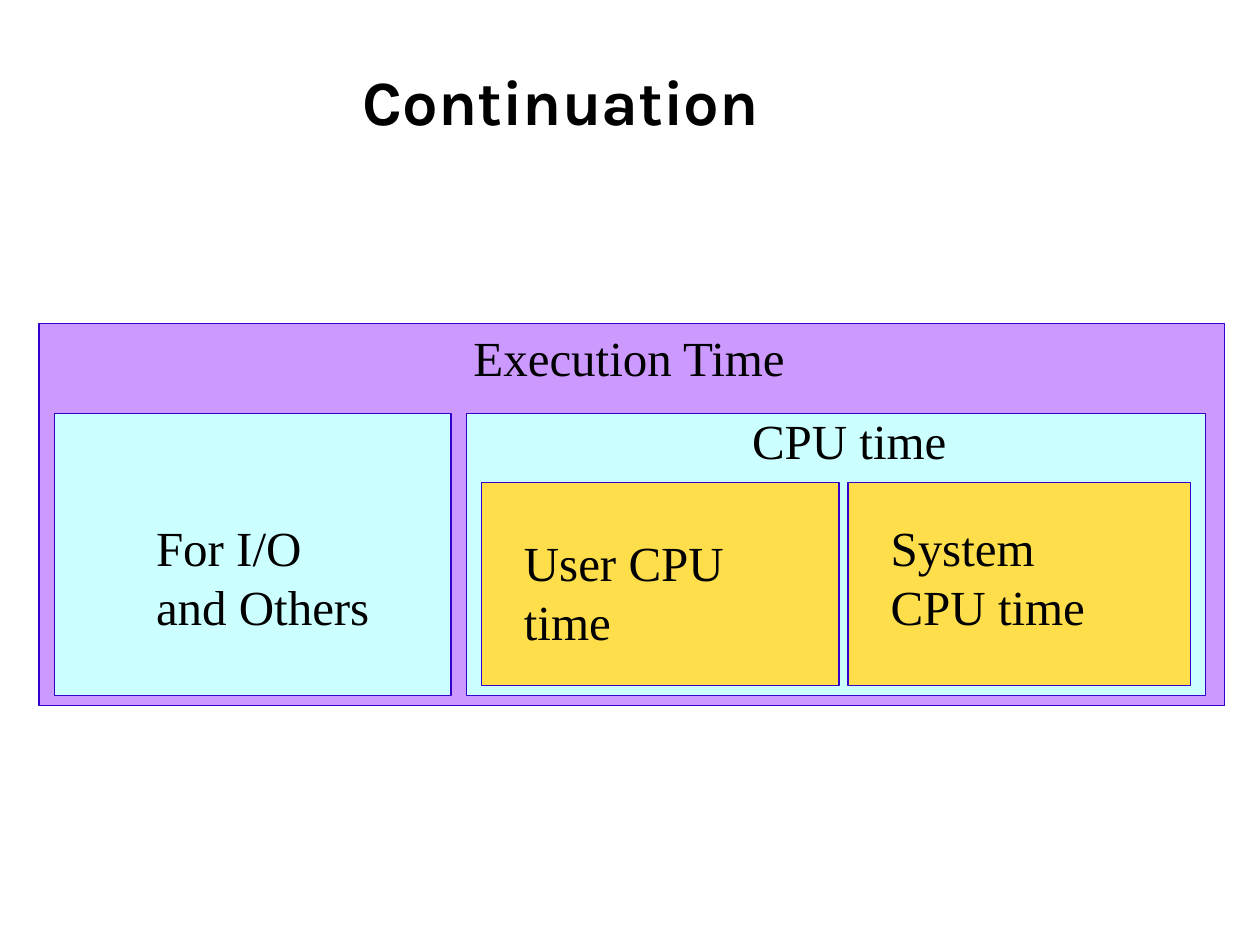
from pptx import Presentation
from pptx import util as u
from pptx.dml import color
from pptx.enum import shapes, text


def paint(value):
    """Turn a hex string into a colour."""
    return color.RGBColor.from_string(value)


def write(box, words, font="Times New Roman", size=28, bold=False,
          align=text.PP_ALIGN.LEFT, anchor=text.MSO_ANCHOR.TOP, left=0.1):
    """Put formatted words into a box."""
    frame = box.text_frame
    frame.word_wrap = True
    frame.auto_size = text.MSO_AUTO_SIZE.NONE
    frame.vertical_anchor = anchor
    frame.margin_left, frame.margin_right = u.Inches(left), u.Inches(0.1)
    frame.margin_top = frame.margin_bottom = u.Inches(0.05)
    para = frame.paragraphs[0]
    para.alignment = align
    span = para.add_run()
    span.text = words
    span.font.name, span.font.size, span.font.bold = font, u.Pt(size), bold
    span.font.color.rgb = paint("000000")


class Diagram:
    """Style and current slide of the nested time diagram."""

    line = "3300CC"

    def __init__(self, page):
        """Keep the slide to draw on."""
        self.page = page

    def title(self, words, *area):
        """Place the title placeholder."""
        box = self.page.shapes.title
        box.left, box.top, box.width, box.height = map(u.Inches, area)
        write(box, words, font="Karla", size=36, bold=True, left=0.41,
              align=text.PP_ALIGN.CENTER, anchor=text.MSO_ANCHOR.MIDDLE)

    def block(self, fill, *area):
        """Draw an outlined rectangle."""
        box = self.page.shapes.add_shape(
            shapes.MSO_SHAPE.RECTANGLE, *map(u.Inches, area))
        box.shadow.inherit = False
        box.fill.solid()
        box.fill.fore_color.rgb = paint(fill)
        box.line.color.rgb = paint(self.line)
        box.line.width = u.Pt(0.74)

    def label(self, words, *area):
        """Add a text label."""
        write(self.page.shapes.add_textbox(*map(u.Inches, area)), words)


deck = Presentation()
deck.slide_width, deck.slide_height = u.Inches(10), u.Inches(7.5)
diagram = Diagram(deck.slides.add_slide(deck.slide_layouts[5]))

diagram.title("Continuation", 0.75, 0.17, 7.09, 1.25)

PURPLE, CYAN, YELLOW = "CC99FF", "CCFFFF", "FFDE4B"
ONE_LINE, TWO_LINES = 0.57, 1.04

diagram.block(PURPLE, 0.31, 2.57, 9.41, 3.03)
for left, width in ((0.43, 3.15), (3.7, 5.87)):
    diagram.block(CYAN, left, 3.28, width, 2.24)
for left, width in ((3.82, 2.84), (6.73, 2.72)):
    diagram.block(YELLOW, left, 3.83, width, 1.61)

for words, left, top, width, height in (
    ("Execution Time", 3.66, 2.55, 2.76, ONE_LINE),
    ("CPU time", 5.87, 3.21, 2.05, ONE_LINE),
    ("For I/O and Others", 1.14, 4.06, 1.93, TWO_LINES),
    ("User CPU time", 4.06, 4.18, 2.17, TWO_LINES),
    ("System CPU time", 6.97, 4.06, 1.93, TWO_LINES),
):
    diagram.label(words, left, top, width, height)

deck.save("out.pptx")
